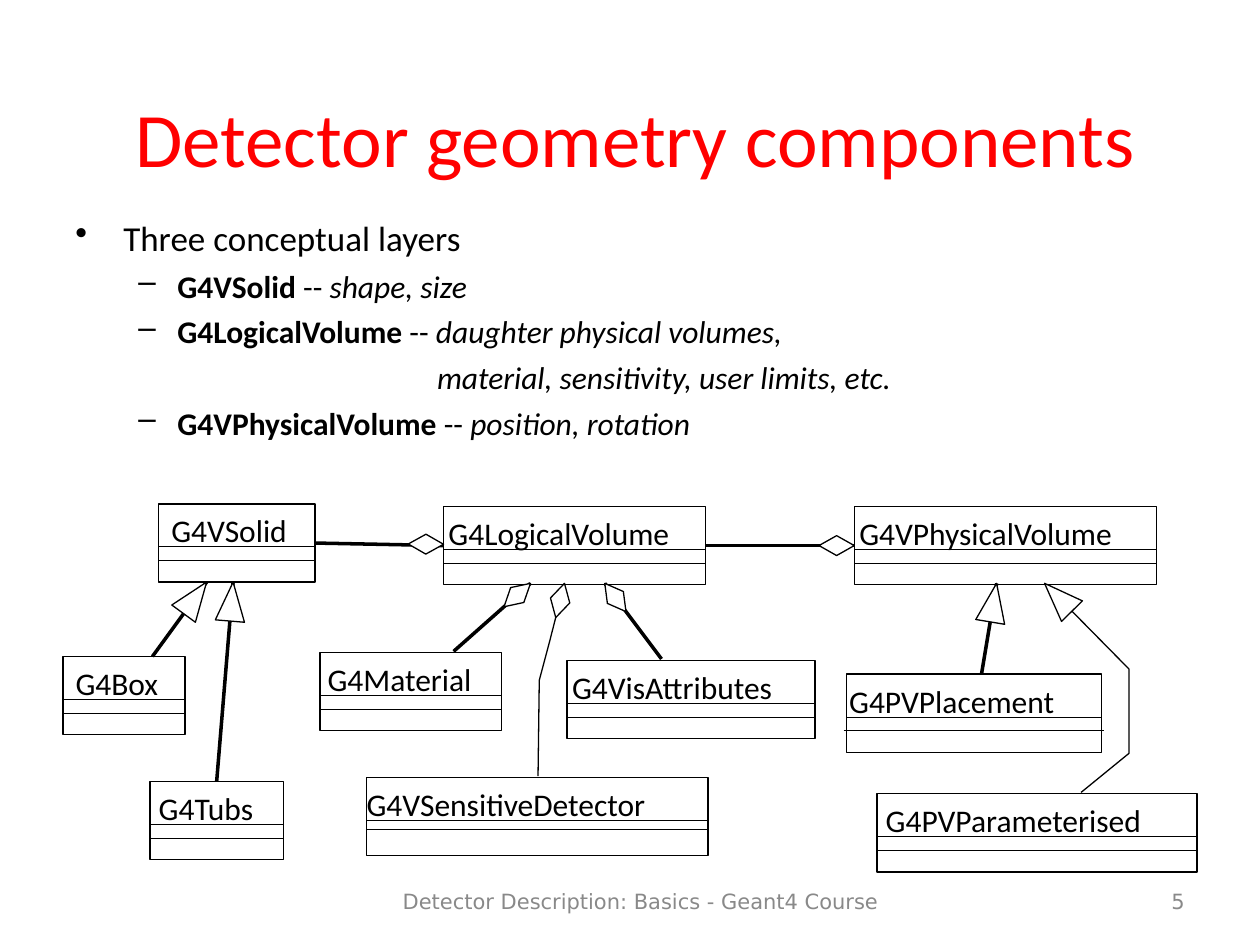
"""Build a slide on detector geometry components with a class diagram."""
from dataclasses import dataclass
from math import hypot

from lxml import etree
from pptx import Presentation
from pptx.dml.color import RGBColor
from pptx.enum.shapes import MSO_CONNECTOR, MSO_SHAPE
from pptx.enum.text import MSO_ANCHOR, PP_ALIGN
from pptx.oxml.ns import qn
from pptx.util import Inches, Pt

STRAIGHT = MSO_CONNECTOR.STRAIGHT
RECTANGLE = MSO_SHAPE.RECTANGLE
TOP, MIDDLE = MSO_ANCHOR.TOP, MSO_ANCHOR.MIDDLE
LEFT, CENTER, RIGHT = PP_ALIGN.LEFT, PP_ALIGN.CENTER, PP_ALIGN.RIGHT
TOP_SIDE, LEFT_SIDE, RIGHT_SIDE = 0, 1, 3
COLUMNS, ROWS = 100, 75


@dataclass(frozen=True)
class Theme:
    ink: RGBColor = RGBColor(0, 0, 0)
    paper: RGBColor = RGBColor(255, 255, 255)
    accent: RGBColor = RGBColor(255, 0, 0)
    muted: RGBColor = RGBColor(0x89, 0x89, 0x89)
    font: str = "Calibri"
    footer_font: str = "DejaVu Sans"
    title_size: float = 44
    lead_size: float = 20
    body_size: float = 18
    footer_size: float = 12
    outline: float = 0
    divider: float = 0.37


def write(paragraph, text, *, size, color, font, bold=False, italic=False):
    run = paragraph.add_run()
    run.text = text
    run.font.size, run.font.name = Pt(size), font
    run.font.bold, run.font.italic = bold, italic
    run.font.color.rgb = color


class Diagram:
    def __init__(self, deck, theme):
        self.theme = theme
        self.slide = deck.slides.add_slide(deck.slide_layouts[6])
        self.shapes = self.slide.shapes
        self.column = deck.slide_width / COLUMNS
        self.row = deck.slide_height / ROWS

    def x(self, columns):
        return round(columns * self.column)

    def y(self, rows):
        return round(rows * self.row)

    def frame(self, left, top, width, height, anchor=TOP, inset=(0.1, 0.05)):
        box = self.shapes.add_textbox(self.x(left), self.y(top), self.x(width), self.y(height))
        frame = box.text_frame
        frame.word_wrap, frame.vertical_anchor = True, anchor
        frame.margin_left = frame.margin_right = Inches(inset[0])
        frame.margin_top = frame.margin_bottom = Inches(inset[1])
        return frame

    def label(self, text, area, *, align=LEFT, anchor=MIDDLE, inset=(0.1, 0.05), **style):
        paragraph = self.frame(*area, anchor, inset).paragraphs[0]
        paragraph.alignment = align
        write(paragraph, text, **style)

    def bullets(self, area, items):
        frame = self.frame(*area)
        for index, (mark, margin, hanging, size, gap, pieces) in enumerate(items):
            paragraph = frame.add_paragraph() if index else frame.paragraphs[0]
            paragraph.space_before = Pt(gap)
            properties = paragraph._p.get_or_add_pPr()
            properties.set("marL", str(Inches(margin)))
            properties.set("indent", str(-Inches(hanging)))
            if mark:
                etree.SubElement(properties, qn("a:buChar")).set("char", mark)
            for text, emphasis in pieces:
                write(paragraph, text, size=size, color=self.theme.ink,
                      font=self.theme.font, **emphasis)

    def outline(self, shape, fill=None):
        shape.shadow.inherit = False
        if fill is None:
            shape.fill.background()
        else:
            shape.fill.solid()
            shape.fill.fore_color.rgb = fill
        shape.line.color.rgb, shape.line.width = self.theme.ink, Pt(self.theme.outline)

    def line(self, start, end, width):
        line = self.shapes.add_connector(STRAIGHT, self.x(start[0]), self.y(start[1]),
                                         self.x(end[0]), self.y(end[1]))
        line.line.color.rgb, line.line.width = self.theme.ink, Pt(width)
        etree.SubElement(line._element.spPr, qn("a:effectLst"))
        return line

    def path_shape(self, points, closed, fill=None):
        corners = [(self.x(x), self.y(y)) for x, y in points]
        builder = self.shapes.build_freeform(*corners[0])
        builder.add_line_segments(corners[1:], close=closed)
        self.outline(builder.convert_to_shape(), fill)

    def class_box(self, name, left, top, width, indent, lower=4.5, overhang=0):
        height = 6.2
        box = self.shapes.add_shape(RECTANGLE, self.x(left), self.y(top),
                                    self.x(width), self.y(height))
        self.outline(box)
        theme = self.theme
        self.label(name, (left + indent, top + 0.6, width - indent, 3), anchor=TOP,
                   inset=(0, 0), size=theme.body_size, color=theme.ink, font=theme.font)
        for offset, extra in ((3.4, 0), (lower, overhang)):
            level = top + offset
            self.line((left - extra, level), (left + width + extra, level), theme.divider)
        return box

    def head(self, tip, toward, kind):
        length, half = (3.1, 1.16) if kind == "inherits" else (2.8, 0.79)
        dx, dy = toward[0] - tip[0], toward[1] - tip[1]
        distance = hypot(dx, dy)
        dx, dy = dx / distance, dy / distance

        def point(along, across):
            return tip[0] + along * dx - across * dy, tip[1] + along * dy + across * dx

        if kind == "inherits":
            points = [tip, point(length, half), point(length, -half)]
        else:
            points = [tip, point(length / 2, half), point(length, 0), point(length / 2, -half)]
        self.path_shape(points, True, self.theme.paper)

    def relation(self, kind, *points, source=None, target=None):
        if len(points) == 2:
            line = self.line(*points, self.theme.outline)
            if source:
                line.end_connect(*source)
            if target:
                line.begin_connect(*target)
        else:
            self.path_shape(points, False)
        self.head(points[0], points[1], kind)


def main():
    deck = Presentation()
    deck.slide_width, deck.slide_height = Inches(10), Inches(7.5)
    theme = Theme()
    diagram = Diagram(deck, theme)

    diagram.label("Detector geometry components", (5.8, 6.7, 89.3, 8.3), align=CENTER,
                  size=theme.title_size, color=theme.accent, font=theme.font)

    bold, plain, italic = {"bold": True}, {}, {"italic": True}

    def layer(name, role):
        return ("–", 0.81, 0.31, theme.body_size, 4.5,
                [(name, bold), (" -- ", plain), (role, italic)])

    diagram.bullets((5, 16.7, 90.8, 19.2), [
        ("•", 0.38, 0.38, theme.lead_size, 5, [("Three conceptual layers", plain)]),
        layer("G4VSolid", "shape, size"),
        layer("G4LogicalVolume", "daughter physical volumes,"),
        (None, 2.87, 0, theme.body_size, 4.5,
         [("material, sensitivity, user limits, etc.", italic)]),
        layer("G4VPhysicalVolume", "position, rotation"),
    ])

    footer = {"size": theme.footer_size, "color": theme.muted, "font": theme.footer_font}
    diagram.label("Detector Description: Basics - Geant4 Course", (26.7, 69.5, 48.3, 4),
                  align=CENTER, **footer)
    diagram.label("5", (83.3, 69.5, 11.7, 4), align=RIGHT, **footer)

    solid = diagram.class_box("G4VSolid", 12.6, 40, 12.4, 1)
    logical = diagram.class_box("G4LogicalVolume", 35.2, 40.2, 20.8, 0.4)
    physical = diagram.class_box("G4VPhysicalVolume", 67.8, 40.2, 24, 0.4)
    tubs = diagram.class_box("G4Tubs", 11.9, 62, 10.6, 0.7)
    diagram.class_box("G4Box", 5, 52.1, 9.7, 1)
    diagram.class_box("G4Material", 25.4, 51.8, 14.4, 0.6)
    diagram.class_box("G4VisAttributes", 45, 52.4, 19.7, 0.4)
    diagram.class_box("G4VSensitiveDetector", 29.1, 61.7, 27.1, 0, lower=4.1)
    diagram.class_box("G4PVPlacement", 67.2, 53.5, 20.2, 0.2, overhang=0.25)
    diagram.class_box("G4PVParameterised", 69.6, 63, 25.4, 0.7)

    diagram.relation("inherits", (16.4, 46.2), (12.1, 52.1))
    diagram.relation("inherits", (18.5, 46.2), (17.2, 62), source=(tubs, TOP_SIDE))
    diagram.relation("inherits", (79.1, 46.3), (77.9, 53.5))
    diagram.relation("inherits", (82.9, 46.3), (89.6, 53.1), (89.6, 59.8), (85.8, 62.9))
    diagram.relation("contains", (35.2, 43.2), (25, 43.1),
                     source=(solid, RIGHT_SIDE), target=(logical, LEFT_SIDE))
    diagram.relation("contains", (67.8, 43.3), (56, 43.3),
                     source=(logical, RIGHT_SIDE), target=(physical, LEFT_SIDE))
    diagram.relation("contains", (42.1, 46.3), (36, 51.7))
    diagram.relation("contains", (44.8, 46.3), (43.6, 51), (42.8, 54), (42.7, 61.6))
    diagram.relation("contains", (48, 46.3), (52.5, 52.3))

    deck.save("out.pptx")


if __name__ == "__main__":
    main()
